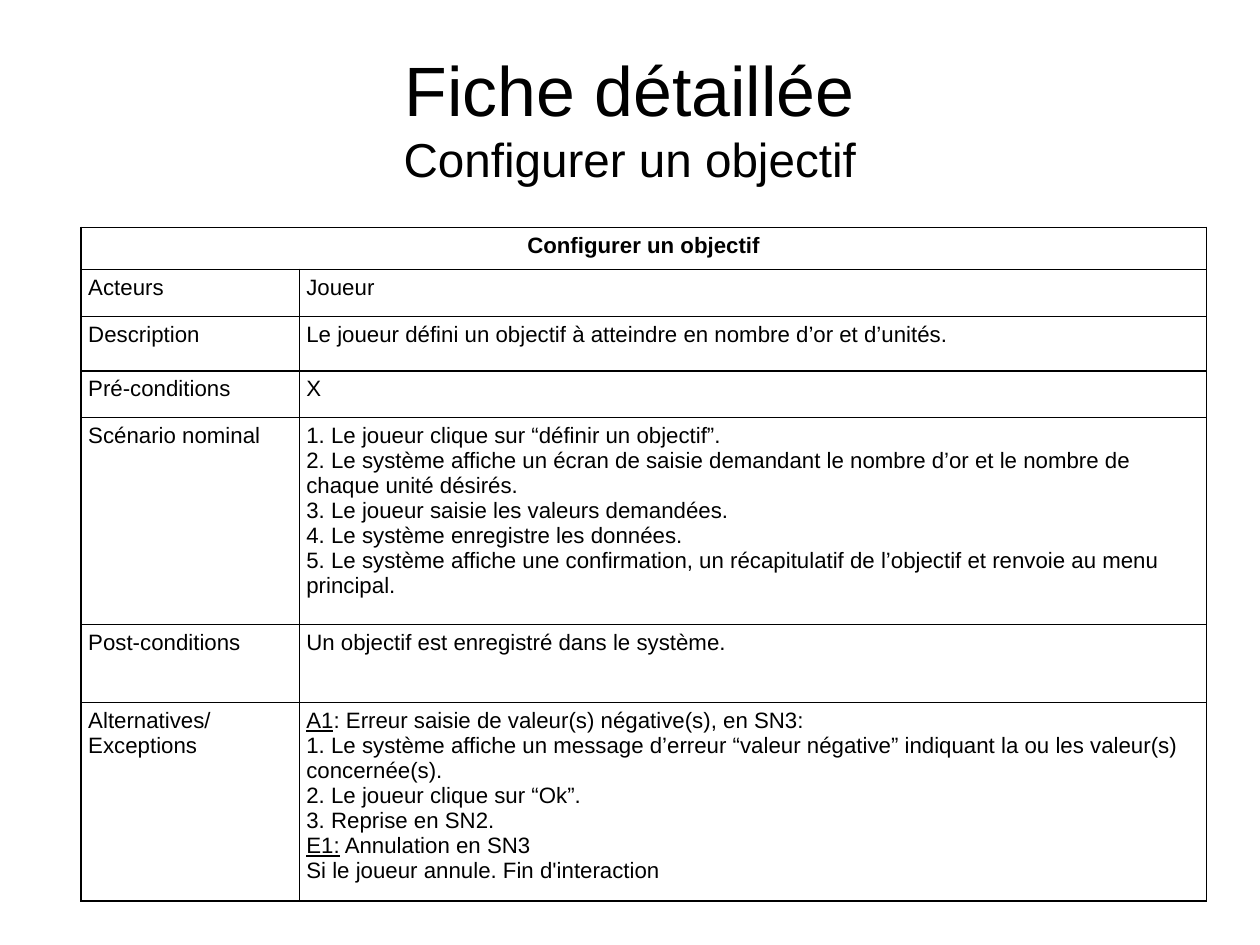
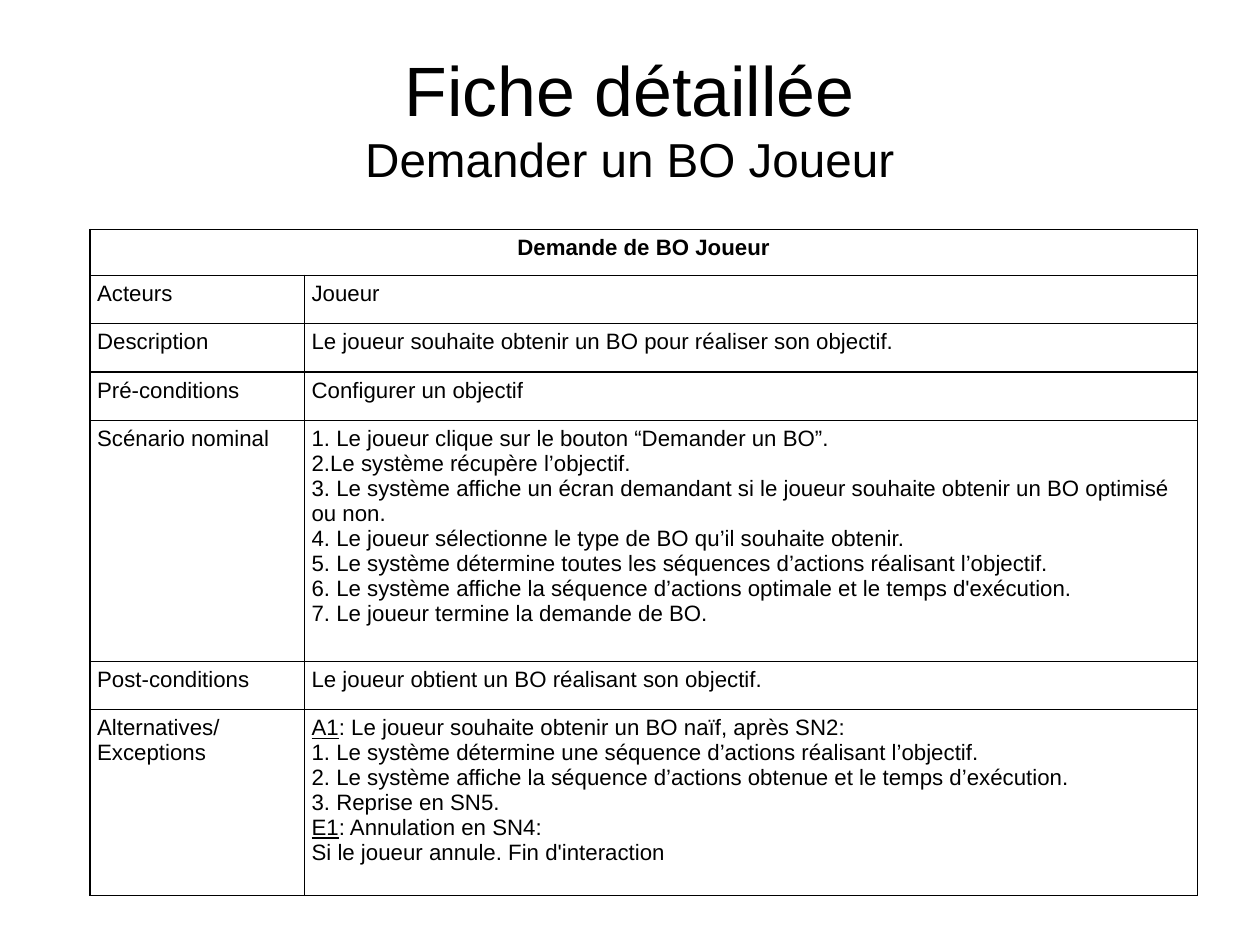
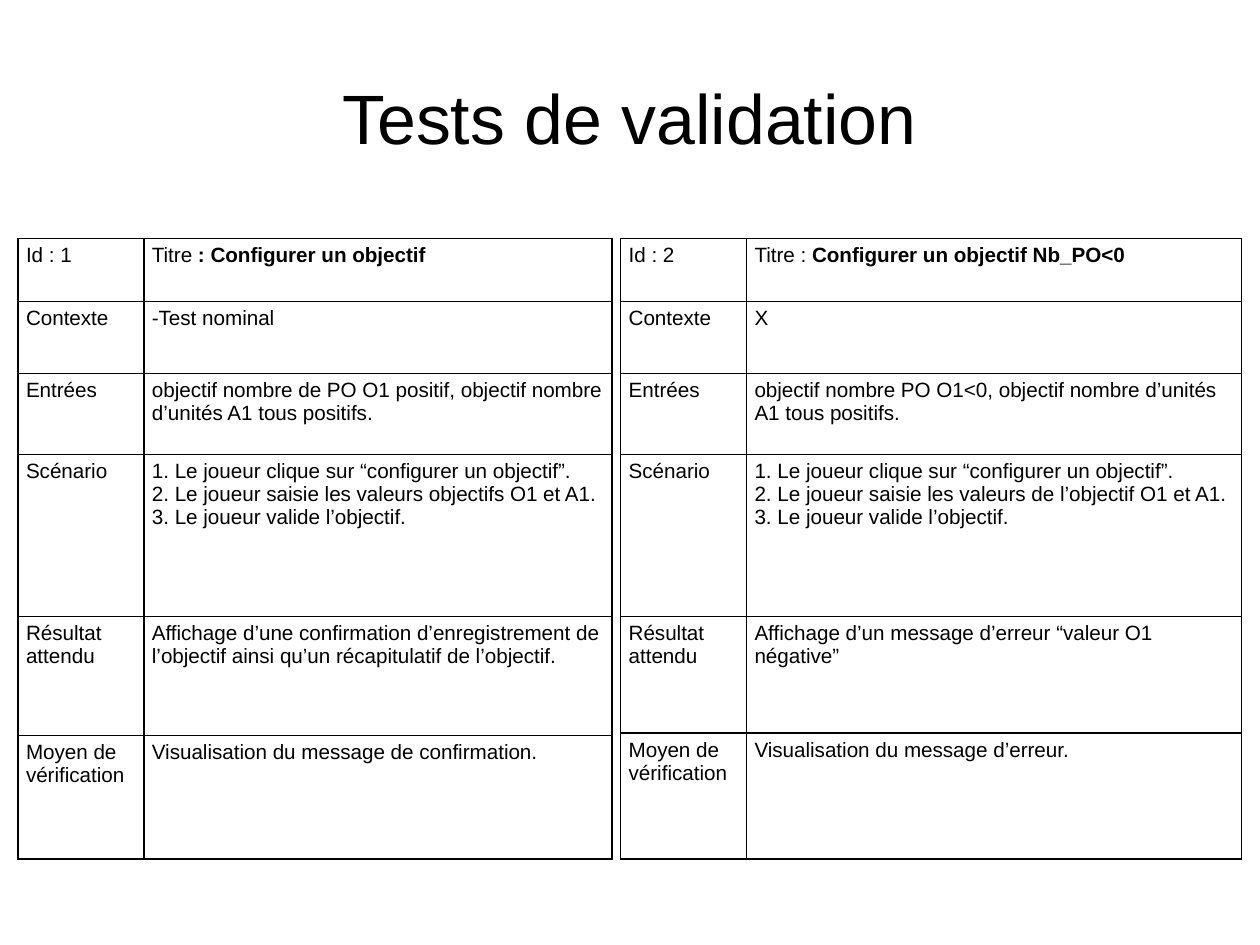
import pptx
import pptx.dml.color
import pptx.enum.text
import pptx.util
import lxml.etree
from dataclasses import dataclass

Pt = pptx.util.Pt
ALIGN = pptx.enum.text.PP_ALIGN
ANCHOR = pptx.enum.text.MSO_ANCHOR


@dataclass(frozen=True)
class Theme:
    font: str = "Arial"
    ink: str = "000000"
    paper: str = "FFFFFF"
    head: float = 44
    sub: float = 30
    card: float = 14
    test: float = 13
    rule: float = 0.96


THEME = Theme()
WIDE, HIGH = 793.7, 595.3
TITLE = (39.6, 23.8, 714.3, 99.4)


def color(code):
    return pptx.dml.color.RGBColor.from_string(code)


def bold(text):
    return text, {"bold": True}


def under(text):
    return text, {"underline": True}


def write(frame, lines, size, align=ALIGN.LEFT, first=True, **form):
    for line in lines:
        para = frame.paragraphs[0] if first else frame.add_paragraph()
        first = False
        para.alignment = align
        for part in line if isinstance(line, list) else [line]:
            text, extra = part if isinstance(part, tuple) else (part, {})
            run = para.add_run()
            run.text = text
            font = run.font
            font.name = THEME.font
            font.size = Pt(size)
            font.color.rgb = color(THEME.ink)
            for key, value in {"bold": False, **form, **extra}.items():
                setattr(font, key, value)


def title(slide, box, head, sub=None):
    frame = slide.shapes.add_textbox(*map(Pt, box)).text_frame
    frame.word_wrap = True
    frame.vertical_anchor = ANCHOR.MIDDLE
    frame.margin_left = frame.margin_right = 0
    frame.margin_top = frame.margin_bottom = 0
    write(frame, [head], THEME.head, ALIGN.CENTER)
    if sub:
        write(frame, [sub], THEME.sub, ALIGN.CENTER, first=False)


def border(cell):
    space = "{http://schemas.openxmlformats.org/drawingml/2006/main}"
    props = cell._tc.get_or_add_tcPr()
    for side in ("lnL", "lnR", "lnT", "lnB"):
        line = lxml.etree.SubElement(props, space + side, w=str(Pt(THEME.rule)))
        fill = lxml.etree.SubElement(line, space + "solidFill")
        lxml.etree.SubElement(fill, space + "srgbClr", val=THEME.ink)


def grid(slide, box, first, highs, rows, size, inset):
    left, top, width = box
    shape = slide.shapes.add_table(
        len(rows), 2, Pt(left), Pt(top), Pt(width), Pt(sum(highs)))
    table = shape.table
    table.first_row = table.horz_banding = False
    table.columns[0].width = Pt(first)
    table.columns[1].width = Pt(width - first)
    for row, high in zip(table.rows, highs):
        row.height = Pt(high)
    for y, row in enumerate(rows):
        for x in range(2):
            cell = table.cell(y, x)
            border(cell)
            cell.fill.solid()
            cell.fill.fore_color.rgb = color(THEME.paper)
            cell.margin_left = cell.margin_right = Pt(inset)
            cell.margin_top = cell.margin_bottom = Pt(3.6)
            cell.vertical_anchor = ANCHOR.TOP
            if x < len(row):
                write(cell.text_frame, row[x], size,
                      ALIGN.CENTER if len(row) == 1 else ALIGN.LEFT)
        if len(row) == 1:
            table.cell(y, 0).merge(table.cell(y, 1))


def card(slide, name, box, first, highs, head, texts):
    title(slide, TITLE, "Fiche détaillée", name)
    labels = [["Acteurs"], ["Description"], ["Pré-conditions"],
              ["Scénario nominal"], ["Post-conditions"],
              ["Alternatives/", "Exceptions"]]
    rows = [[[[bold(head)]]], *zip(labels, texts)]
    grid(slide, box, first, highs, rows, THEME.card, 4.5)


def test(slide, box, highs, code, texts):
    labels = [f"Id : {code}", "Contexte", "Entrées", "Scénario",
              "Résultat attendu", "Moyen de vérification"]
    rows = [([label], text) for label, text in zip(labels, texts)]
    grid(slide, box, 79.3, highs, rows, THEME.test, 5)


def main():
    deck = pptx.Presentation()
    deck.slide_width, deck.slide_height = Pt(WIDE), Pt(HIGH)
    goal, order, check = (
        deck.slides.add_slide(deck.slide_layouts[6]) for _ in range(3))

    card(goal, "Configurer un objectif", (51.1, 143.2, 708.7), 137.4,
         (26.5, 29.6, 34.4, 29.5, 130.4, 49.1, 119.8),
         "Configurer un objectif", [
        ["Joueur"],
        ["Le joueur défini un objectif à atteindre en nombre d’or et d’unités."],
        ["X"],
        ["1. Le joueur clique sur “définir un objectif”.",
         "2. Le système affiche un écran de saisie demandant le nombre d’or et "
         "le nombre de chaque unité désirés.",
         "3. Le joueur saisie les valeurs demandées.",
         "4. Le système enregistre les données.",
         "5. Le système affiche une confirmation, un récapitulatif de "
         "l’objectif et renvoie au menu principal."],
        ["Un objectif est enregistré dans le système."],
        [[under("A1"), ": Erreur saisie de valeur(s) négative(s), en SN3:"],
         "1. Le système affiche un message d’erreur “valeur négative” "
         "indiquant la ou les valeur(s) concernée(s).",
         "2. Le joueur clique sur “Ok”.",
         "3. Reprise en SN2.",
         [under("E1:"), " Annulation en SN3"],
         "Si le joueur annule. Fin d'interaction"],
    ])

    card(order, "Demander un BO Joueur", (56.7, 144.6, 697.5), 135.1,
         (28.9, 30.5, 30.5, 30.5, 151.8, 30.4, 117.2),
         "Demande de BO Joueur", [
        ["Joueur"],
        ["Le joueur souhaite obtenir un BO pour réaliser son objectif."],
        ["Configurer un objectif"],
        ["1. Le joueur clique sur le bouton “Demander un BO”.",
         "2.Le système récupère l’objectif.",
         "3. Le système affiche un écran demandant si le joueur souhaite "
         "obtenir un BO optimisé ou non.",
         "4. Le joueur sélectionne le type de BO qu’il souhaite obtenir.",
         "5. Le système détermine toutes les séquences d’actions réalisant "
         "l’objectif.",
         "6. Le système affiche la séquence d’actions optimale et le temps "
         "d'exécution.",
         "7. Le joueur termine la demande de BO."],
        ["Le joueur obtient un BO réalisant son objectif."],
        [[under("A1"), ": Le joueur souhaite obtenir un BO naïf, après SN2:"],
         "1. Le système détermine une séquence d’actions réalisant l’objectif.",
         "2. Le système affiche la séquence d’actions obtenue et le temps "
         "d’exécution.",
         "3. Reprise en SN5.",
         [under("E1"), ": Annulation en SN4:"],
         "Si le joueur annule. Fin d'interaction"],
    ])

    title(check, TITLE, "Tests de validation")
    click = "1. Le joueur clique sur “configurer un objectif”."
    valid = "3. Le joueur valide l’objectif."
    highs = (39.7, 45.3, 51, 102)
    test(check, (391, 150.2, 391.2), (*highs, 73.7, 79.3), 2, [
        [["Titre : ", bold("Configurer un objectif Nb_PO<0")]],
        ["X"],
        ["objectif nombre PO O1<0, objectif nombre d’unités A1 tous positifs."],
        [click, "2. Le joueur saisie les valeurs de l’objectif O1 et A1.", valid],
        ["Affichage d’un message d’erreur “valeur O1 négative”"],
        ["Visualisation du message d’erreur."],
    ])
    test(check, (11.4, 150.2, 374.2), (*highs, 75, 78), 1, [
        [["Titre ", bold(": Configurer un objectif")]],
        ["-Test nominal"],
        ["objectif nombre de PO O1 positif, objectif nombre d’unités A1 tous "
         "positifs."],
        [click, "2. Le joueur saisie les valeurs objectifs O1 et A1.", valid],
        ["Affichage d’une confirmation d’enregistrement de l’objectif ainsi "
         "qu’un récapitulatif de l’objectif."],
        ["Visualisation du message de confirmation."],
    ])
    deck.save("out.pptx")


if __name__ == "__main__":
    main()
